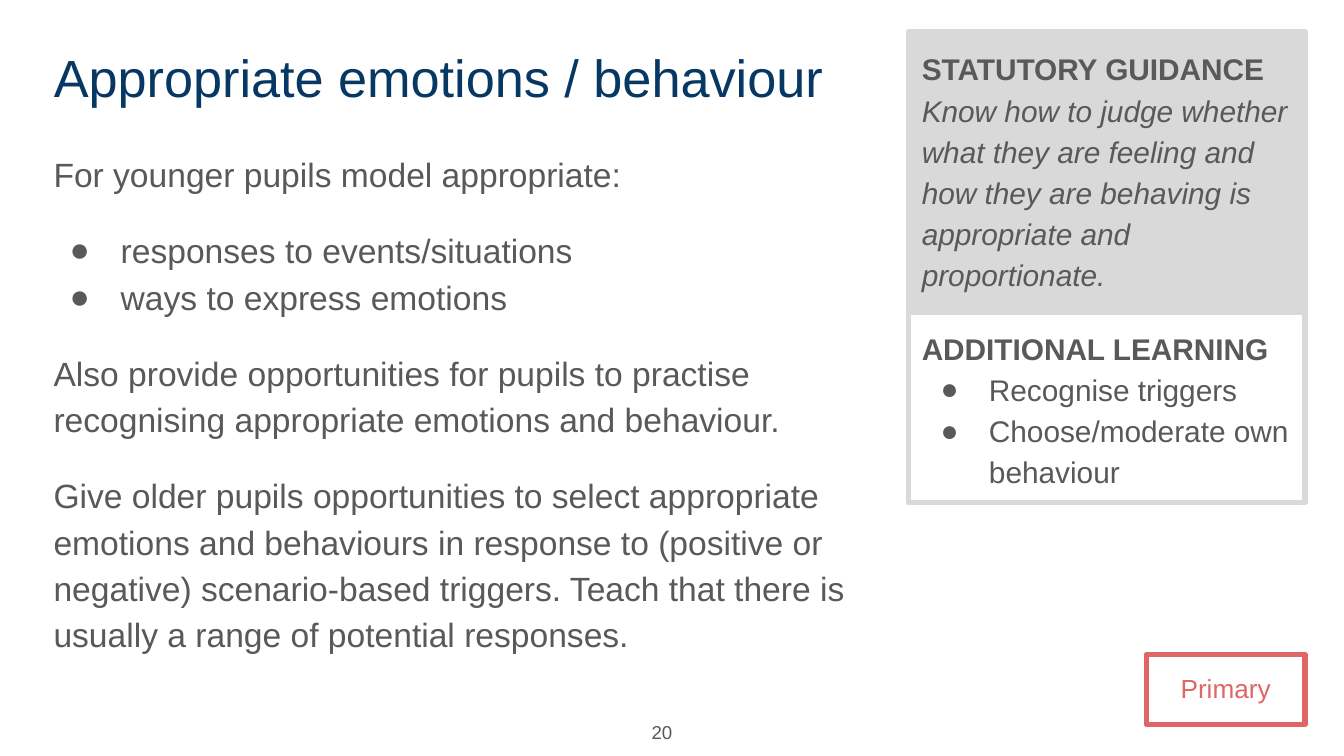
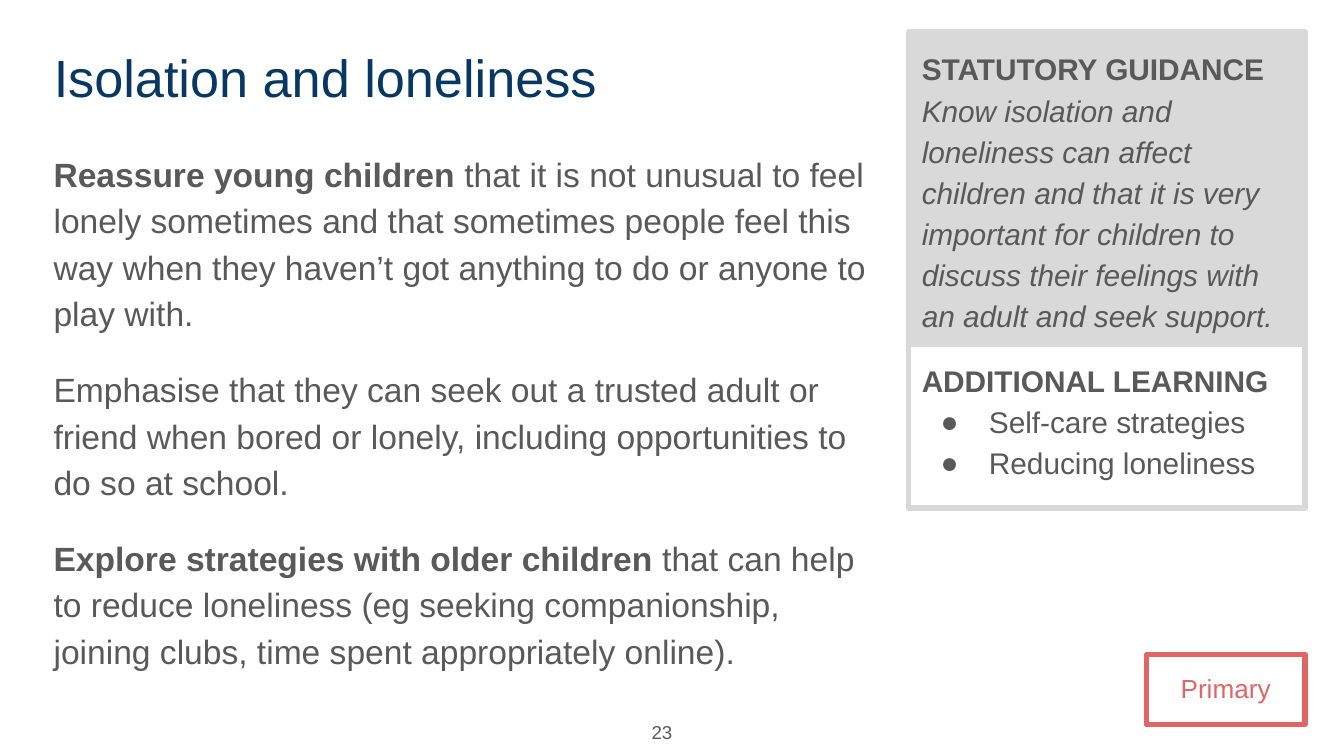
"""Build two teaching slides: a main text, a guidance panel and a stage label."""
import copy

import pptx
import pptx.dml.color
import pptx.enum.shapes
import pptx.enum.text
import pptx.oxml
import pptx.oxml.ns
import pptx.util

COLOURS = {"title": "073763", "text": "595959", "panel": "D9D9D9", "stage": "E06666"}
FONT = "Arial"
COLUMNS = 100  # square grid cells across the slide
MARGIN, TOP = 3, 2.4
PANEL_LEFT, RIGHT_EDGE = 67.6, 97.1
PANEL_WIDTH = RIGHT_EDGE - PANEL_LEFT
ALIGN = pptx.enum.text.PP_ALIGN
ANCHOR = pptx.enum.text.MSO_ANCHOR


def colour(name):
    """Return the named colour of the palette."""
    return pptx.dml.color.RGBColor.from_string(COLOURS[name])


def add_bullet(paragraph, hanging):
    """Give a paragraph a round bullet; hanging is the outdent in inches."""
    properties = paragraph._p.get_or_add_pPr()
    properties.set("marL", str(pptx.util.Inches(0.5)))
    properties.set("indent", str(-pptx.util.Inches(hanging)))
    namespace = pptx.oxml.ns.nsdecls("a")
    for markup in (
        f'<a:buClr {namespace}><a:srgbClr val="{COLOURS["text"]}"/></a:buClr>',
        f'<a:buFont {namespace} typeface="{FONT}"/>',
        f'<a:buChar {namespace} char="\u25cf"/>',
    ):
        properties.append(pptx.oxml.parse_xml(markup))


def write(paragraph, text, size=18, ink="text", bold=False, italic=False,
          line_break=False):
    """Add one formatted run, with a line break of the same size if asked."""
    run = paragraph.add_run()
    run.text = text
    font = run.font
    font.name, font.size = FONT, pptx.util.Pt(size)
    font.bold, font.italic = bold, italic
    font.color.rgb = colour(ink)
    if line_break:
        paragraph.add_line_break()
        paragraph._p[-1].append(copy.deepcopy(run._r.rPr))


class Deck:
    """Holds the shared style and the current slide."""

    def __init__(self):
        """Open an empty widescreen presentation."""
        self.presentation = pptx.Presentation()
        self.presentation.slide_width = pptx.util.Inches(10)
        self.presentation.slide_height = pptx.util.Inches(5.625)
        self.cell = self.presentation.slide_width / COLUMNS
        self.slide = None

    def box(self, left, top, width, height):
        """Turn grid cells into slide lengths."""
        return [pptx.util.Emu(round(cells * self.cell))
                for cells in (left, top, width, height)]

    def frame(self, shape, anchor=ANCHOR.TOP):
        """Set insets, wrapping and anchor of a shape's text."""
        frame = shape.text_frame
        frame.word_wrap = True
        frame.auto_size = pptx.enum.text.MSO_AUTO_SIZE.NONE
        frame.vertical_anchor = anchor
        frame.margin_left = frame.margin_right = pptx.util.Inches(0.1)
        frame.margin_top = frame.margin_bottom = pptx.util.Inches(0.1)
        return frame

    def paragraph(self, frame, first=False, align=ALIGN.LEFT, spacing=1.15,
                  before=0, after=0):
        """Start a paragraph with its alignment and spacing."""
        paragraph = frame.paragraphs[0] if first else frame.add_paragraph()
        paragraph.alignment = align
        paragraph.line_spacing = spacing
        paragraph.space_before = pptx.util.Pt(before)
        paragraph.space_after = pptx.util.Pt(after)
        return paragraph

    def title(self, text):
        """Start a slide and fill its title."""
        self.slide = self.presentation.slides.add_slide(
            self.presentation.slide_layouts.get_by_name("Title Only"))
        shape = self.slide.shapes.title
        shape.left, shape.top, shape.width, shape.height = self.box(MARGIN, TOP, 66, 6.3)
        paragraph = self.paragraph(self.frame(shape), first=True, spacing=1.0)
        write(paragraph, text, size=28, ink="title")

    def text_box(self, *place, anchor=ANCHOR.TOP):
        """Add a text box and return its text frame."""
        return self.frame(self.slide.shapes.add_textbox(*self.box(*place)), anchor)

    def body(self, items):
        """Add the main text; an item is (kind, bold lead, plain text)."""
        frame = self.text_box(MARGIN, 10, 63.2, 41.2)
        previous = None
        for kind, lead, text in items:
            joined = previous is None or kind == previous == "bullet"
            paragraph = self.paragraph(frame, first=previous is None,
                                       before=0 if joined else 16)
            if kind == "bullet":
                add_bullet(paragraph, 0.38)
            if lead:
                write(paragraph, lead, bold=True)
            write(paragraph, text)
            previous = kind

    def outlined(self, *place, line, fill=None):
        """Add a rectangle with a thick outline and return its text frame."""
        shape = self.slide.shapes.add_shape(
            pptx.enum.shapes.MSO_SHAPE.RECTANGLE, *self.box(*place))
        shape.shadow.inherit = False
        shape.line.color.rgb = colour(line)
        shape.line.width = pptx.util.Pt(3)
        if fill:
            shape.fill.solid()
            shape.fill.fore_color.rgb = colour(fill)
        else:
            shape.fill.background()
        return self.frame(shape)

    def guidance(self, text, height):
        """Add the grey statutory panel."""
        frame = self.outlined(PANEL_LEFT, TOP, PANEL_WIDTH, height,
                              line="panel", fill="panel")
        paragraph = self.paragraph(frame, first=True, after=16)
        write(paragraph, "STATUTORY GUIDANCE", size=16, bold=True, line_break=True)
        write(paragraph, text, size=16, italic=True)

    def learning(self, points, top, height):
        """Add the outlined panel of additional learning points."""
        frame = self.outlined(PANEL_LEFT, top, PANEL_WIDTH, height, line="panel")
        write(self.paragraph(frame, first=True), "ADDITIONAL LEARNING",
              size=16, bold=True)
        for point in points:
            paragraph = self.paragraph(frame)
            add_bullet(paragraph, 0.36)
            write(paragraph, point, size=16)

    def page_number(self, number):
        """Add the page number at the foot."""
        frame = self.text_box(45.9, 52.6, 5.1, 3.7, anchor=ANCHOR.MIDDLE)
        paragraph = self.paragraph(frame, first=True, align=ALIGN.RIGHT, spacing=1.0)
        write(paragraph, str(number), size=10)

    def stage(self, text):
        """Add the school stage label at the lower right."""
        width = 11.8
        frame = self.outlined(RIGHT_EDGE - width, 48.7, width, 5.2, line="stage")
        paragraph = self.paragraph(frame, first=True, align=ALIGN.CENTER)
        write(paragraph, text, size=14, ink="stage")

    def lesson(self, title, number, body, guidance, guidance_height,
               points, points_height):
        """Build one whole slide."""
        self.title(title)
        self.body(body)
        self.guidance(guidance, guidance_height)
        self.page_number(number)
        self.stage("Primary")
        self.learning(points, TOP + guidance_height, points_height)


def main():
    """Build and save the slides."""
    deck = Deck()
    deck.lesson(
        "Appropriate emotions / behaviour", 20,
        [("text", "", "For younger pupils model appropriate:"),
         ("bullet", "", "responses to events/situations"),
         ("bullet", "", "ways to express emotions"),
         ("text", "", "Also provide opportunities for pupils to practise "
          "recognising appropriate emotions and behaviour."),
         ("text", "", "Give older pupils opportunities to select appropriate "
          "emotions and behaviours in response to (positive or negative) "
          "scenario-based triggers. Teach that there is usually a range of "
          "potential responses.")],
        "Know how to judge whether what they are feeling and how they are "
        "behaving is appropriate and proportionate.", 20.8,
        ["Recognise triggers", "Choose/moderate own behaviour"], 14.2)
    deck.lesson(
        "Isolation and loneliness", 23,
        [("text", "Reassure young children", " that it is not unusual to feel "
          "lonely sometimes and that sometimes people feel this way when they "
          "haven\u2019t got anything to do or anyone to play with."),
         ("text", "", "Emphasise that they can seek out a trusted adult or friend "
          "when bored or lonely, including opportunities to do so at school."),
         ("text", "Explore strategies with older children ", "that can help to "
          "reduce loneliness (eg seeking companionship, joining clubs, time "
          "spent appropriately online).")],
        "Know isolation and loneliness can affect children and that it is very "
        "important for children to discuss their feelings with an adult and "
        "seek support.", 23.2,
        ["Self-care strategies", "Reducing loneliness"], 12.2)
    deck.presentation.save("out.pptx")


main()
